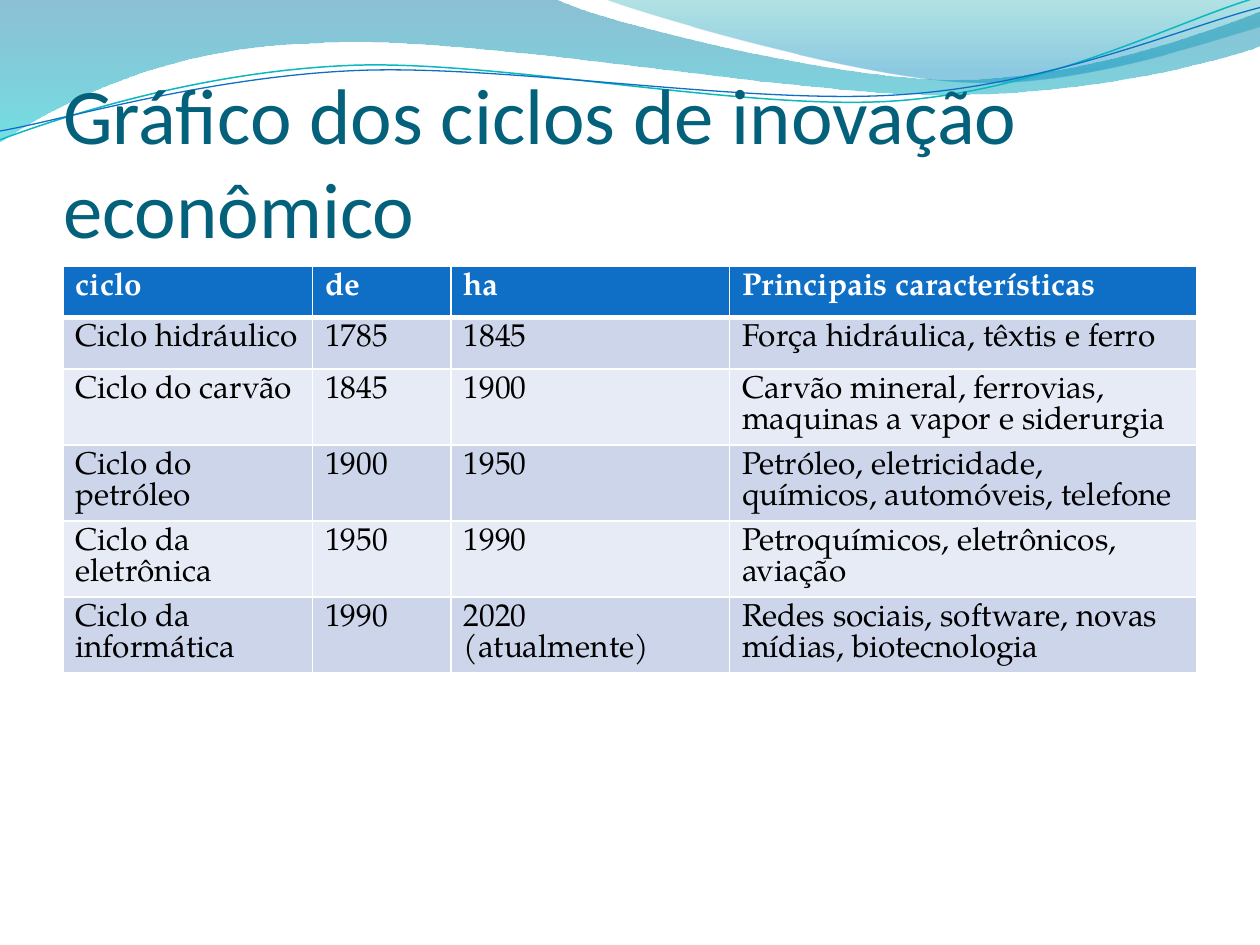
import pptx
import pptx.dml.color
import pptx.enum.text
import pptx.oxml
import pptx.oxml.ns
import pptx.util

WIDTH, HEIGHT = 10, 7.5
MARGIN = 0.05 * WIDTH
BODY_FONT = "TeX Gyre Pagella"
COLUMN_WIDTHS = [1.98, 1.1, 2.21, 3.71]
TABLE_TOP = pptx.util.Pt(152.4)
ROW_HEIGHT = pptx.util.Pt(29.2)

CYCLES = [
    ["ciclo", "de", "ha", "Principais características"],
    ["Ciclo hidráulico", "1785", "1845", "Força hidráulica, têxtis e ferro"],
    ["Ciclo do carvão", "1845", "1900",
     "Carvão mineral, ferrovias, maquinas a vapor e siderurgia"],
    ["Ciclo do petróleo", "1900", "1950",
     "Petróleo, eletricidade, químicos, automóveis, telefone"],
    ["Ciclo da eletrônica", "1950", "1990", "Petroquímicos, eletrônicos, aviação"],
    ["Ciclo da informática", "1990", "2020 (atualmente)",
     "Redes sociais, software, novas mídias, biotecnologia"],
]

# Each wave is a list of steps: two numbers for a straight one, six for a Bézier
LEFT_WAVE = [
    (0, 0), (4.4, -0.01), (4.76, 0.17, 6.64, 0.63, 7.58, 0.63),
    (8.53, 0.63, 9.58, 0.26, 10, 0.09), (10.01, 0.36),
    (9.83, 0.44, 8.7, 0.76, 7.46, 0.75), (6.22, 0.75, 3.82, 0.28, 2.57, 0.34),
    (1.29, 0.36, 0.46, 0.83, -0.01, 1.13), (0, 0),
]
RIGHT_WAVE = [
    (4.79, -0.01), (5.09, 0.11, 6.82, 0.62, 7.69, 0.65),
    (8.56, 0.69, 9.61, 0.32, 10, 0.21), (10, 0), (4.79, -0.01),
]
TEAL_CURVE = [
    (0, 1.11), (0.48, 0.93, 1.58, 0.57, 2.77, 0.52),
    (3.95, 0.47, 5.93, 0.89, 7.13, 0.8), (8.33, 0.71, 9.38, 0.15, 9.98, -0.02),
]
BLUE_CURVE = [
    (0, 1.04), (0.47, 0.96, 1.64, 0.61, 2.83, 0.56),
    (4.03, 0.51, 5.97, 0.84, 7.17, 0.75), (8.36, 0.67, 9.41, 0.21, 10, 0.06),
]


def rgb(color):
    return pptx.dml.color.RGBColor.from_string(color)


def add_outline(slide, steps, closed):
    """Lay out all points as straight segments, then join threes into Béziers."""
    points = [(pptx.util.Inches(x), pptx.util.Inches(y))
              for step in steps for x, y in zip(step[::2], step[1::2])]
    builder = slide.shapes.build_freeform(*points[0])
    builder.add_line_segments(points[1:], close=closed)
    shape = builder.convert_to_shape()
    shape.shadow.inherit = False
    segments = iter(shape._element.xpath(".//a:path/a:lnTo"))
    for step in steps[1:]:
        segment = next(segments)
        if len(step) == 6:
            bezier = pptx.oxml.parse_xml(
                f'<a:cubicBezTo {pptx.oxml.ns.nsdecls("a")}/>')
            segment.addprevious(bezier)
            for part in (segment, next(segments), next(segments)):
                bezier.append(part[0])
                part.getparent().remove(part)
    return shape


def add_wave(slide, steps, stops):
    """Draw a wave with a vertical gradient of (position, colour, opacity)."""
    shape = add_outline(slide, steps, True)
    shape.line.fill.background()
    shape.fill.gradient()
    shape.fill.gradient_angle = 270
    for stop, (position, color, _) in zip(shape.fill.gradient_stops, stops):
        stop.position = position
        stop.color.rgb = rgb(color)
    for element, (_, _, opacity) in zip(shape._element.xpath(".//a:gs/a:srgbClr"), stops):
        alpha = pptx.oxml.parse_xml(
            f'<a:alpha {pptx.oxml.ns.nsdecls("a")} val="{opacity * 1000}"/>')
        element.append(alpha)


def add_curve(slide, steps, color, width):
    shape = add_outline(slide, steps, False)
    shape.fill.background()
    shape.line.color.rgb = rgb(color)
    shape.line.width = pptx.util.Pt(width)


def format_text(text_frame, font_name, size, color, bold=False):
    for paragraph in text_frame.paragraphs:
        paragraph.alignment = pptx.enum.text.PP_ALIGN.LEFT
        for run in paragraph.runs:
            run.font.name = font_name
            run.font.size = pptx.util.Pt(size)
            run.font.bold = bold
            run.font.color.rgb = rgb(color)


def set_title(slide, text):
    title = slide.shapes.title
    title.left, title.top, title.width, title.height = (
        pptx.util.Inches(length) for length in (MARGIN, 0.77, WIDTH - 2 * MARGIN, 1.25))
    text_frame = title.text_frame
    text_frame.text = text
    text_frame.word_wrap = True
    text_frame.auto_size = pptx.enum.text.MSO_AUTO_SIZE.NONE
    text_frame.vertical_anchor = pptx.enum.text.MSO_ANCHOR.BOTTOM
    text_frame.margin_left = text_frame.margin_right = text_frame.margin_bottom = 0
    text_frame.margin_top = pptx.util.Inches(0.05)
    format_text(text_frame, "Calibri", 45, "04617B")
    # Bring the title in front of the waves
    slide.shapes._spTree.append(title._element)


def set_borders(cell, widths):
    """Give the cell white borders; widths are for left, right, top, bottom."""
    properties = cell._tc.get_or_add_tcPr()
    for index, (side, width) in enumerate(zip("LRTB", widths)):
        properties.insert(index, pptx.oxml.parse_xml(
            f'<a:ln{side} {pptx.oxml.ns.nsdecls("a")} w="{pptx.util.Pt(width)}">'
            f'<a:solidFill><a:srgbClr val="FFFFFF"/></a:solidFill></a:ln{side}>'))


def add_cycle_table(slide):
    frame = slide.shapes.add_table(
        len(CYCLES), len(COLUMN_WIDTHS), pptx.util.Inches(MARGIN), TABLE_TOP,
        pptx.util.Inches(sum(COLUMN_WIDTHS)), ROW_HEIGHT * len(CYCLES))
    table = frame.table
    for column, width in zip(table.columns, COLUMN_WIDTHS):
        column.width = pptx.util.Inches(width)
    for row_index, texts in enumerate(CYCLES):
        table.rows[row_index].height = ROW_HEIGHT
        header = row_index == 0
        band = "CCD5EA" if row_index % 2 else "E7EBF5"
        for column_index, text in enumerate(texts):
            cell = table.cell(row_index, column_index)
            cell.text_frame.text = text
            format_text(cell.text_frame, BODY_FONT, 18,
                        "FFFFFF" if header else "000000", header)
            cell.fill.solid()
            cell.fill.fore_color.rgb = rgb("0F6FC6" if header else band)
            set_borders(cell, (1, 1, 3 if row_index == 1 else 1, 3 if header else 1))


def main():
    presentation = pptx.Presentation()
    presentation.slide_width = pptx.util.Inches(WIDTH)
    presentation.slide_height = pptx.util.Inches(HEIGHT)
    slide = presentation.slides.add_slide(presentation.slide_layouts[5])

    # Waves along the top
    add_wave(slide, LEFT_WAVE, [(0, "0074A1", 45), (1, "00C6CF", 55)])
    add_wave(slide, RIGHT_WAVE, [(0, "00A1A9", 30), (0.8, "008BBF", 45)])
    add_curve(slide, TEAL_CURVE, "0AB8BF", 0.85)
    add_curve(slide, BLUE_CURVE, "0F6FC6", 0.75)

    # Title and table
    set_title(slide, "Gráfico dos ciclos de inovação econômico")
    add_cycle_table(slide)
    presentation.save("out.pptx")


if __name__ == "__main__":
    main()
